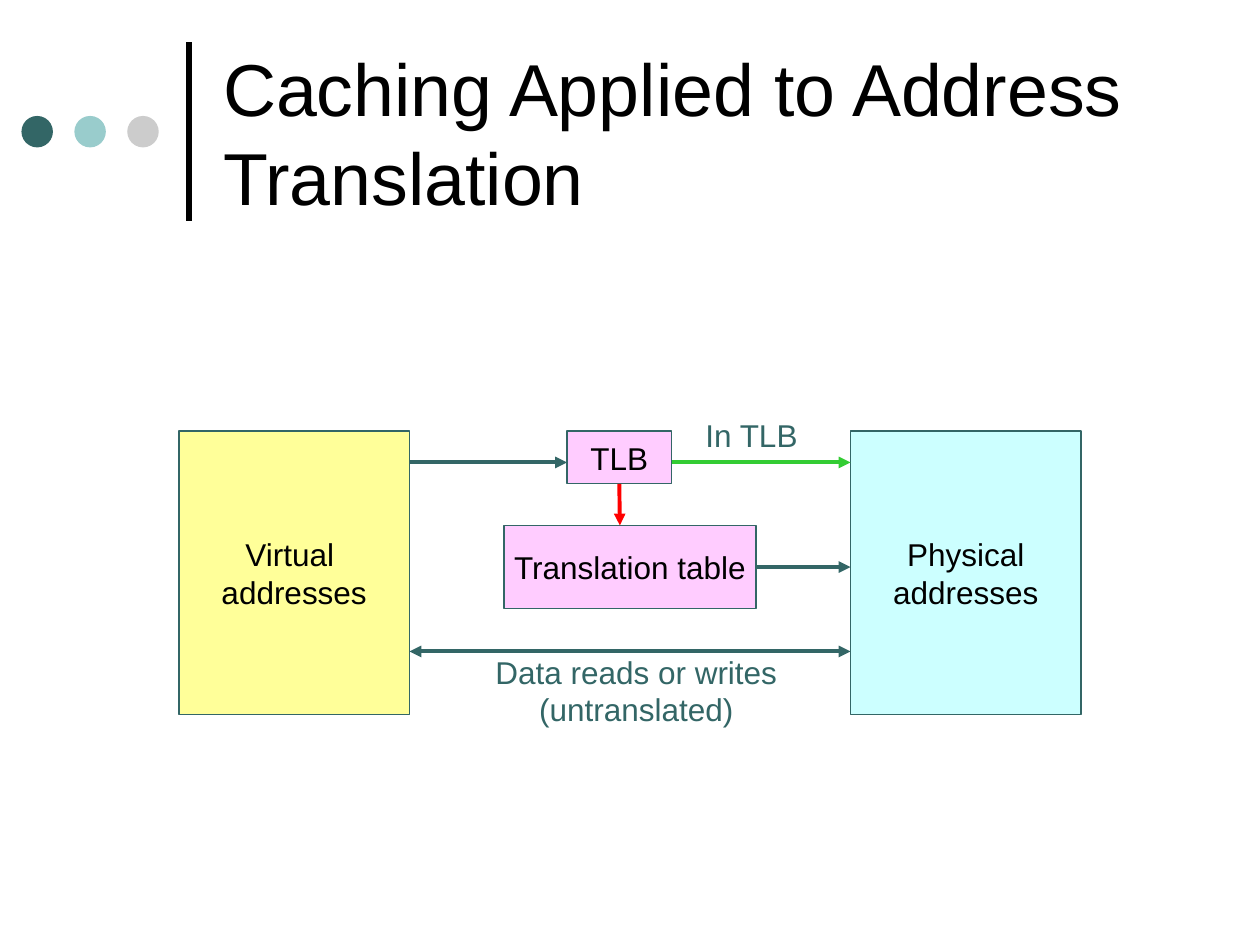
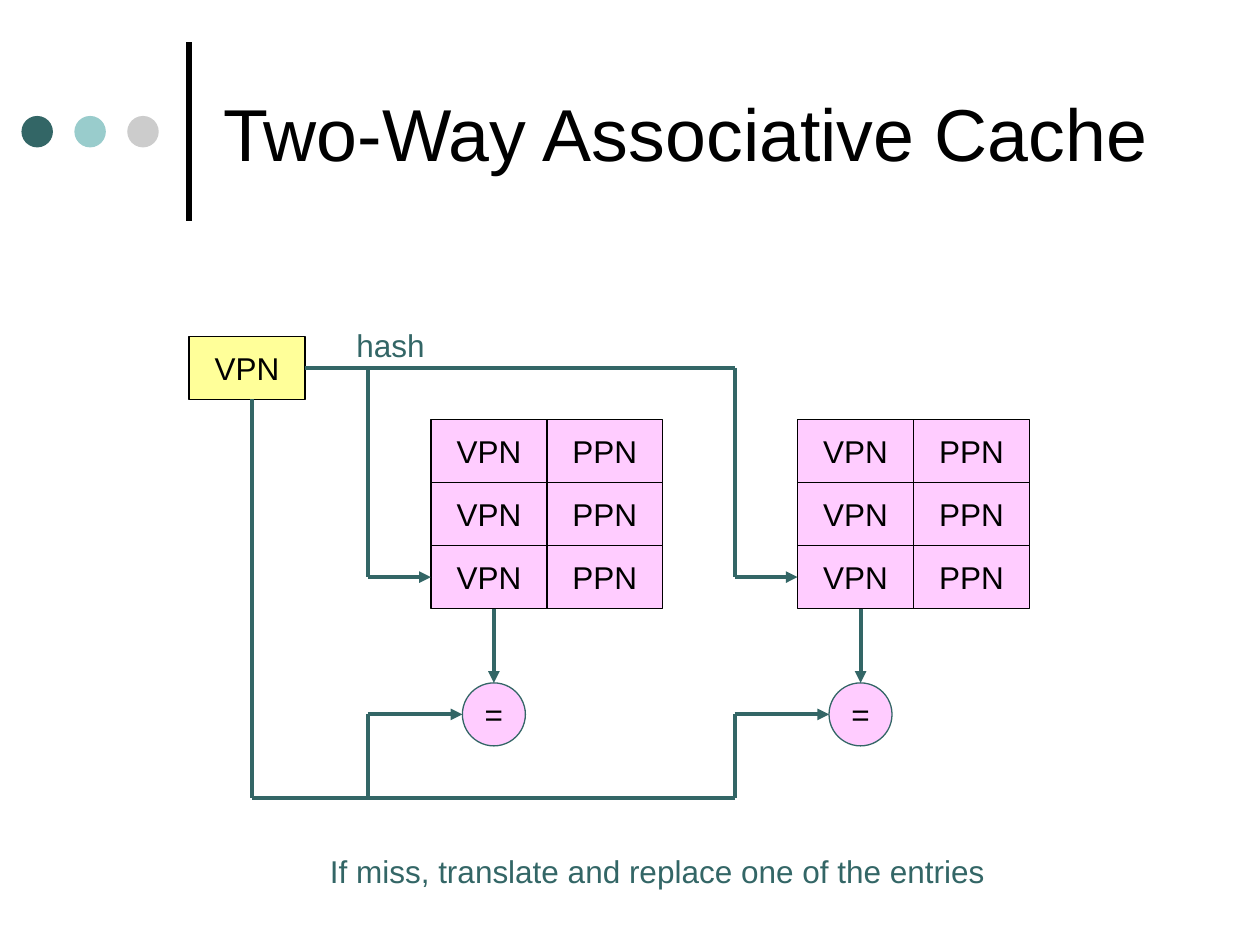
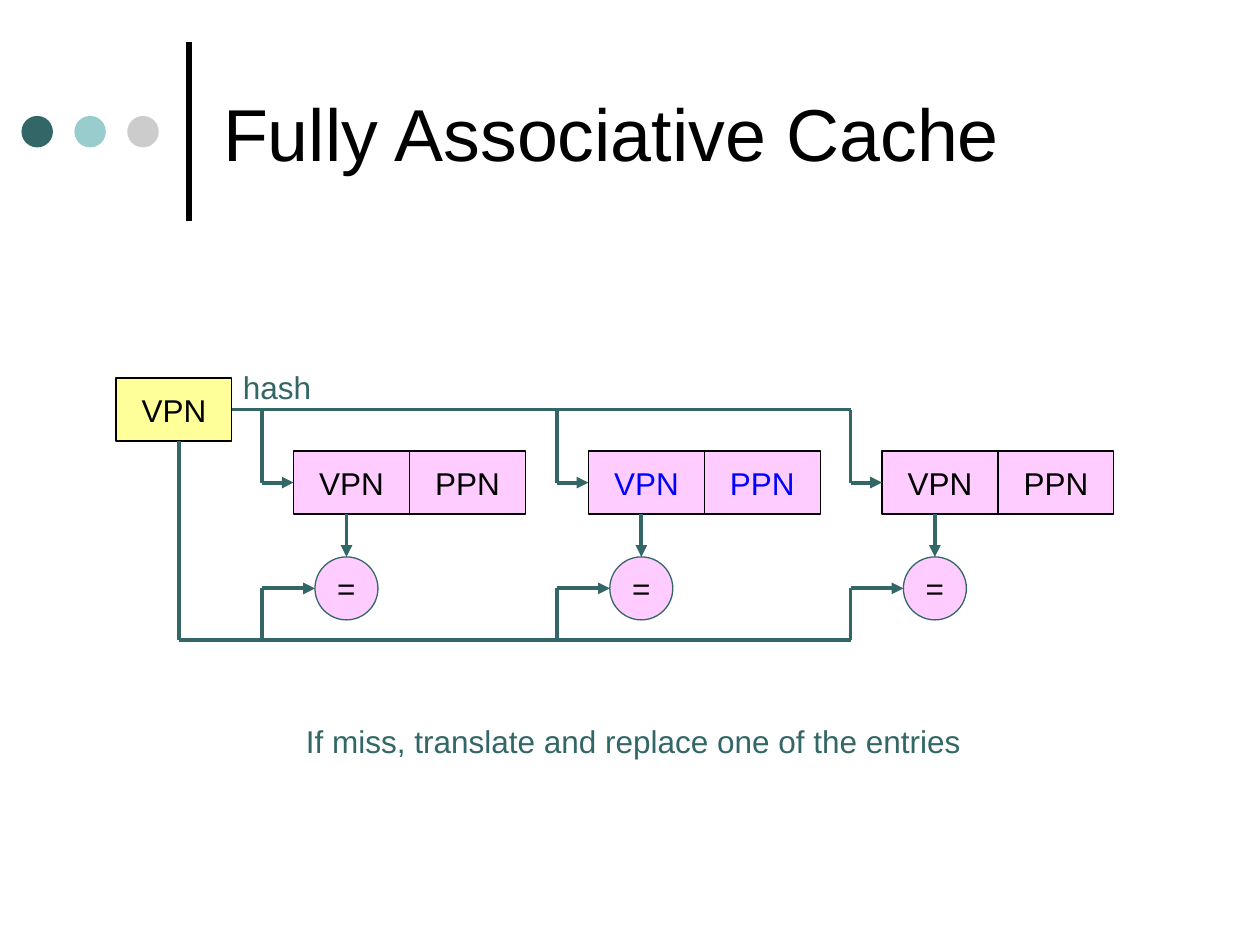
from lxml import etree
from pptx import Presentation
from pptx.dml.color import RGBColor
from pptx.enum.shapes import MSO_CONNECTOR, MSO_SHAPE
from pptx.enum.text import MSO_ANCHOR, MSO_AUTO_SIZE, PP_ALIGN
from pptx.oxml.ns import qn
from pptx.util import Inches, Pt

RECTANGLE = MSO_SHAPE.RECTANGLE
OVAL = MSO_SHAPE.OVAL
STRAIGHT = MSO_CONNECTOR.STRAIGHT
LEFT = PP_ALIGN.LEFT
CENTER = PP_ALIGN.CENTER
TOP_ANCHOR = MSO_ANCHOR.TOP
MIDDLE = MSO_ANCHOR.MIDDLE
NO_FIT = MSO_AUTO_SIZE.NONE
FIT_SHAPE = MSO_AUTO_SIZE.SHAPE_TO_FIT_TEXT
TOP_SIDE, LEFT_SIDE, BOTTOM_SIDE, RIGHT_SIDE = range(4)
TITLE_ONLY = 5

FONT = "Arial"
BLACK = "000000"
TEAL = "336666"
AQUA = "99CCCC"
GREY = "CCCCCC"
YELLOW = "FFFF99"
CYAN = "CCFFFF"
PINK = "FFCCFF"
RED = "FF0000"
GREEN = "33CC33"
BLUE = "0000FF"

CELL_WIDTH = 0.92
CELL_HEIGHT = 0.5
CIRCLE_SIZE = 0.5


def color(value):
    return RGBColor.from_string(value)


def place(shape, left, top, width, height):
    shape.left, shape.top = Inches(left), Inches(top)
    shape.width, shape.height = Inches(width), Inches(height)


def write(frame, lines, size=18, ink=BLACK, align=CENTER, anchor=MIDDLE, wrap=False):
    frame.word_wrap = wrap
    frame.vertical_anchor = anchor
    for index, line in enumerate(lines):
        para = frame.add_paragraph() if index else frame.paragraphs[0]
        para.alignment = align
        span = para.add_run()
        span.text = line
        span.font.name = FONT
        span.font.size = Pt(size)
        span.font.color.rgb = color(ink)


def add_box(page, kind, left, top, width, height, fill, outline=None, lines=(), ink=BLACK):
    box = page.shapes.add_shape(
        kind, Inches(left), Inches(top), Inches(width), Inches(height)
    )
    box.shadow.inherit = False
    box.fill.solid()
    box.fill.fore_color.rgb = color(fill)
    if outline:
        box.line.color.rgb = color(outline)
        box.line.width = Pt(0.75)
    else:
        box.line.fill.background()
    write(box.text_frame, lines, ink=ink)
    return box


def add_label(page, left, top, width, height, lines, align=LEFT):
    label = page.shapes.add_textbox(
        Inches(left), Inches(top), Inches(width), Inches(height)
    )
    write(label.text_frame, lines, ink=TEAL, align=align, anchor=TOP_ANCHOR)
    label.text_frame.auto_size = FIT_SHAPE


def add_line(page, start, end, ink=TEAL, width=2.25, arrows=(), begin=None, finish=None):
    line = page.shapes.add_connector(STRAIGHT, *map(Inches, start + end))
    line.line.color.rgb = color(ink)
    line.line.width = Pt(width)
    properties = line.line._get_or_add_ln()
    for arrow in arrows:
        etree.SubElement(properties, qn(f"a:{arrow}"), type="triangle")
    etree.SubElement(properties.getparent(), qn("a:effectLst"))
    if begin:
        line.begin_connect(*begin)
    if finish:
        line.end_connect(*finish)


def add_arrow(page, start, end, **options):
    add_line(page, start, end, arrows=("tailEnd",), **options)


def add_page(deck, heading):
    page = deck.slides.add_slide(deck.slide_layouts[TITLE_ONLY])
    add_line(page, (1.5, 1.75), (1.5, 0.33), ink=BLACK, width=3)
    for index, fill in enumerate((TEAL, AQUA, GREY)):
        add_box(page, OVAL, 0.17 + 0.42 * index, 0.92, 0.25, 0.25, fill)
    title = page.shapes.title
    place(title, 1.67, 0.21, 7.67, 1.67)
    write(title.text_frame, [heading], size=42, align=LEFT, wrap=True)
    title.text_frame.auto_size = NO_FIT
    return page


def add_cell(page, left, top, text, fill=PINK, ink=BLACK):
    return add_box(
        page, RECTANGLE, left, top, CELL_WIDTH, CELL_HEIGHT, fill, BLACK, [text], ink
    )


def add_bank(page, left, top, rows, ink):
    for row in range(rows):
        cell_top = top + row * CELL_HEIGHT
        last_tag = add_cell(page, left, cell_top, "VPN", ink=ink)
        add_cell(page, left + CELL_WIDTH, cell_top, "PPN", ink=ink)
    return last_tag


def add_cache(page, key_at, bank_lefts, bank_top, rows, branch_gap, circle_shift,
              circle_top, bus_y, inks):
    key_left, key_top = key_at
    hash_y = key_top + CELL_HEIGHT / 2
    row_y = bank_top + (rows - 0.5) * CELL_HEIGHT
    bank_bottom = bank_top + rows * CELL_HEIGHT
    compare_y = circle_top + CIRCLE_SIZE / 2
    bus_x = key_left + 0.5
    last_branch = bank_lefts[-1] - branch_gap

    key = add_cell(page, key_left, key_top, "VPN", fill=YELLOW)
    add_line(page, (key_left + CELL_WIDTH, hash_y), (last_branch, hash_y),
             begin=(key, RIGHT_SIDE))
    add_line(page, (bus_x, key_top + CELL_HEIGHT), (bus_x, bus_y))
    add_line(page, (bus_x, bus_y), (last_branch, bus_y))

    for left, ink in zip(bank_lefts, inks):
        branch = left - branch_gap
        circle_left = left + circle_shift
        circle_x = circle_left + CIRCLE_SIZE / 2
        tag = add_bank(page, left, bank_top, rows, ink)
        circle = add_box(page, OVAL, circle_left, circle_top, CIRCLE_SIZE, CIRCLE_SIZE,
                         PINK, TEAL, ["="])
        add_line(page, (branch, hash_y), (branch, row_y))
        add_arrow(page, (branch, row_y), (left, row_y), finish=(tag, LEFT_SIDE))
        add_arrow(page, (circle_x, bank_bottom), (circle_x, circle_top),
                  finish=(circle, TOP_SIDE))
        add_line(page, (branch, bus_y), (branch, compare_y))
        add_arrow(page, (branch, compare_y), (circle_left, compare_y))


def add_cache_labels(page, hash_at, caption_at):
    add_label(page, *hash_at, 0.74, 0.4, ["hash"])
    add_label(page, *caption_at, 5.4, 0.4,
              ["If miss, translate and replace one of the entries"])


def build_translation(deck):
    page = add_page(deck, "Caching Applied to Address Translation")
    add_box(page, RECTANGLE, 1.42, 3.42, 1.83, 2.25, YELLOW, TEAL,
            ["Virtual ", "addresses"])
    add_box(page, RECTANGLE, 6.75, 3.42, 1.83, 2.25, CYAN, TEAL,
            ["Physical", "addresses"])
    buffer = add_box(page, RECTANGLE, 4.5, 3.42, 0.83, 0.42, PINK, TEAL, ["TLB"])
    table = add_box(page, RECTANGLE, 4, 4.17, 2, 0.66, PINK, TEAL, ["Translation table"])
    add_line(page, (6.75, 5.17), (3.25, 5.17), arrows=("headEnd", "tailEnd"))
    add_arrow(page, (3.25, 3.67), (4.5, 3.67))
    add_arrow(page, (4.92, 3.84), (4.92, 4.17), ink=RED, begin=(buffer, BOTTOM_SIDE))
    add_arrow(page, (6, 4.5), (6.75, 4.5), begin=(table, RIGHT_SIDE))
    add_arrow(page, (5.33, 3.67), (6.75, 3.67), ink=GREEN)
    add_label(page, 3.83, 5.13, 2.44, 0.7,
              ["Data reads or writes", "(untranslated)"], align=CENTER)
    add_label(page, 5.5, 3.25, 0.94, 0.4, ["In TLB"])


def build_two_way(deck):
    page = add_page(deck, "Two-Way Associative Cache")
    add_cache(page, key_at=(1.5, 2.67), bank_lefts=(3.42, 6.33), bank_top=3.33, rows=3,
              branch_gap=0.5, circle_shift=0.25, circle_top=5.42, bus_y=6.33,
              inks=(BLACK, BLACK))
    add_cache_labels(page, hash_at=(2.73, 2.54), caption_at=(2.52, 6.71))


def build_fully_associative(deck):
    page = add_page(deck, "Fully Associative Cache")
    add_cache(page, key_at=(0.92, 3), bank_lefts=(2.33, 4.67, 7), bank_top=3.58, rows=1,
              branch_gap=0.25, circle_shift=0.17, circle_top=4.42, bus_y=5.08,
              inks=(BLACK, BLUE, BLACK))
    add_cache_labels(page, hash_at=(1.83, 2.87), caption_at=(2.33, 5.68))


def main():
    deck = Presentation()
    deck.slide_width, deck.slide_height = Inches(10), Inches(7.5)
    build_translation(deck)
    build_two_way(deck)
    build_fully_associative(deck)
    deck.save("out.pptx")


if __name__ == "__main__":
    main()
